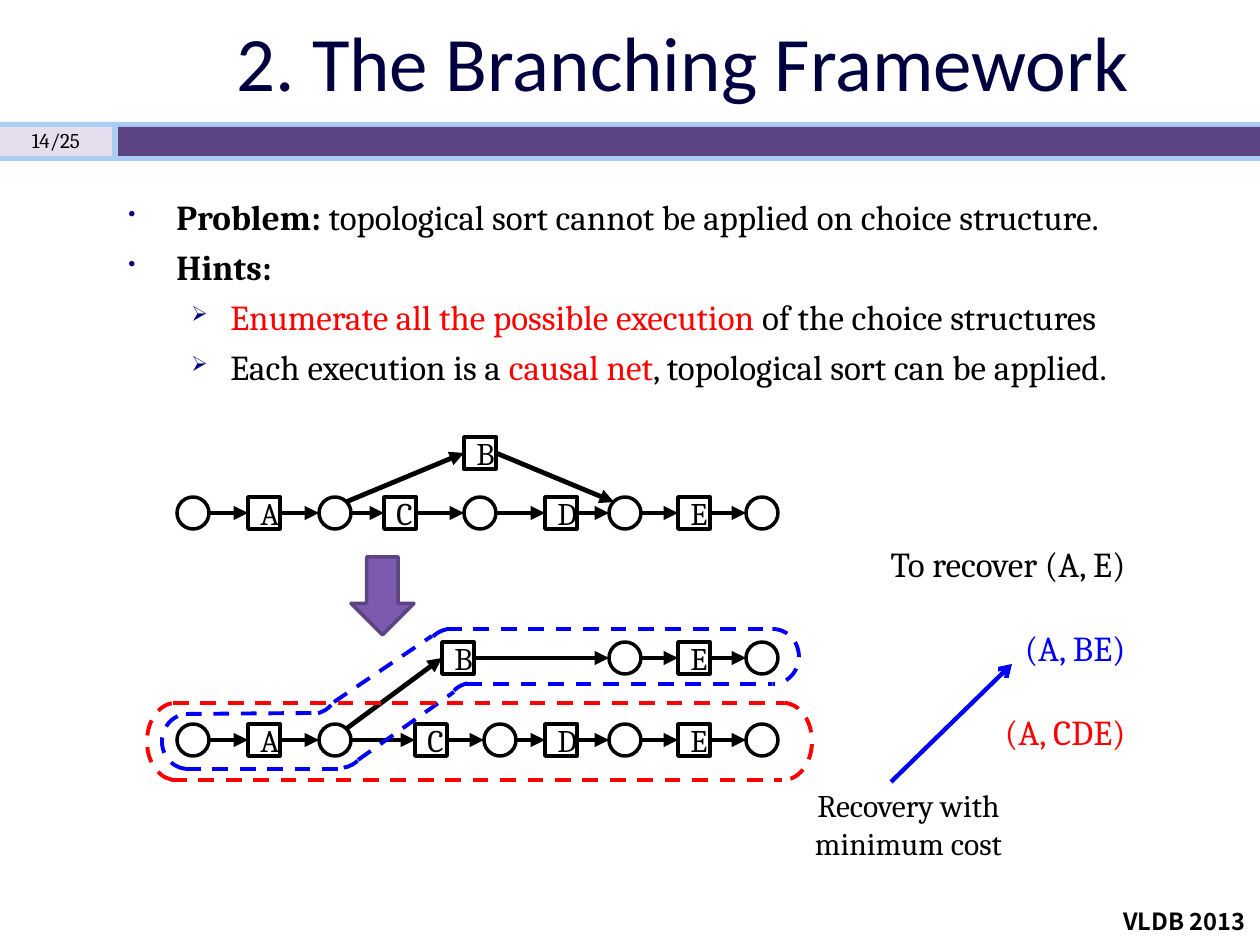
from lxml import etree
from pptx import Presentation
from pptx.dml.color import RGBColor
from pptx.enum.dml import MSO_LINE
from pptx.enum.shapes import MSO_CONNECTOR, MSO_SHAPE
from pptx.enum.text import MSO_ANCHOR, PP_ALIGN
from pptx.oxml.ns import qn
from pptx.util import Pt

PX = 7257
BLACK, RED, BLUE, PURPLE = "000000", "FF0000", "0000F9", "5C4381"
rgb = RGBColor.from_string

prs = Presentation()
prs.slide_width, prs.slide_height = 1260 * PX, 945 * PX
s = prs.slides.add_slide(prs.slide_layouts[5])


def add_shape(kind, box, fill=None, line=None, width=2):
    sp = s.shapes.add_shape(kind, *[v * PX for v in box])
    sp.shadow.inherit = False
    if fill:
        sp.fill.solid()
        sp.fill.fore_color.rgb = rgb(fill)
    else:
        sp.fill.background()
    if line:
        sp.line.color.rgb = rgb(line)
        sp.line.width = Pt(width)
    else:
        sp.line.fill.background()
    return sp


def add_line(ends, color=BLACK, width=2.75, head=None):
    cx = s.shapes.add_connector(MSO_CONNECTOR.STRAIGHT, *[v * PX for v in ends])
    cx.line.color.rgb = rgb(color)
    cx.line.width = Pt(width)
    if head:
        etree.SubElement(cx.line._get_or_add_ln(), qn("a:tailEnd"), type=head)
    else:
        cx.line.dash_style = MSO_LINE.DASH
    etree.SubElement(cx._element.spPr, qn("a:effectLst"))


for box, color in [
    ((0, 122, 1260, 39), "ABCDF4"),
    ((0, 127, 112, 29), "E5DEEF"),
    ((118, 127, 1142, 29), PURPLE),
]:
    add_shape(MSO_SHAPE.RECTANGLE, box, color)

title = s.shapes.title
title.left, title.top, title.width, title.height = [v * PX for v in (116, 4, 1134, 113)]
tf = title.text_frame
tf.text = "2. The Branching Framework"
tf.vertical_anchor = MSO_ANCHOR.MIDDLE
p = tf.paragraphs[0]
p.alignment = PP_ALIGN.CENTER
p.font.name, p.font.size = "Calibri", Pt(44)
p.font.color.rgb = rgb("000040")

bullets = [
    ("•", 48, -48, [("Problem: ", BLACK, True),
                    ("topological sort cannot be applied on choice structure.", BLACK, False)]),
    ("•", 48, -48, [("Hints:", BLACK, True)]),
    ("➢", 102, -39, [("Enumerate all the possible execution", RED, False),
                     (" of the choice structures", BLACK, False)]),
    ("➢", 102, -39, [("Each execution is a ", BLACK, False), ("causal net", RED, False),
                     (", topological sort can be applied.", BLACK, False)]),
]
tf = s.shapes.add_textbox(116 * PX, 189 * PX, 1072 * PX, 625 * PX).text_frame
tf.word_wrap = True
for i, (mark, margin, indent, runs) in enumerate(bullets):
    p = tf.add_paragraph() if i else tf.paragraphs[0]
    p.space_before = Pt(4.7)
    p.font.name, p.font.size = "Cambria", Pt(20)
    pPr = p._p.get_or_add_pPr()
    pPr.set("marL", str(margin * PX))
    pPr.set("indent", str(indent * PX))
    tags = [etree.Element(qn("a:buClr")), etree.Element(qn("a:buSzPct"), val="60000"),
            etree.Element(qn("a:buChar"), char=mark)]
    etree.SubElement(tags[0], qn("a:srgbClr"), val="000082")
    for tag in tags:
        pPr.find(qn("a:defRPr")).addprevious(tag)
    for text, color, bold in runs:
        r = p.add_run()
        r.text = text
        r.font.name, r.font.size, r.font.bold = "Cambria", Pt(20), bold
        r.font.color.rgb = rgb(color)

CENTER, LEFT, RIGHT = PP_ALIGN.CENTER, PP_ALIGN.LEFT, PP_ALIGN.RIGHT
for box, font, size, bold, align, anchor, wrap, lines in [
    ((0, 121, 112, 39), "Cambria", 12, False, CENTER, MSO_ANCHOR.MIDDLE, True,
     [("14/25", BLACK)]),
    ((1111, 901, 157, 42), "Noto Sans CJK SC", 13.5, True, LEFT, MSO_ANCHOR.TOP, False,
     [("VLDB 2013", BLACK)]),
    ((818, 536, 320, 224), "Cambria", 20, False, RIGHT, MSO_ANCHOR.TOP, True,
     [("To recover (A, E)", BLACK), ("(A, BE)", BLUE), ("(A, CDE)", RED)]),
    ((787, 780, 243, 89), "Cambria", 18, False, CENTER, MSO_ANCHOR.TOP, True,
     [("Recovery with minimum cost", BLACK)]),
]:
    tf = s.shapes.add_textbox(*[v * PX for v in box]).text_frame
    tf.word_wrap, tf.vertical_anchor = wrap, anchor
    for i, (text, color) in enumerate(lines):
        p = tf.add_paragraph() if i else tf.paragraphs[0]
        p.text, p.alignment = text, align
        p.font.name, p.font.size, p.font.bold = font, Pt(size), bold
        p.font.color.rgb = rgb(color)
        if i:
            p.space_before = Pt(24)

chains = [
    (453, [("B", 480)]),
    (513, [("", 193), ("A", 264), ("", 335), ("C", 400), ("", 480),
           ("D", 561), ("", 625), ("E", 694), ("", 762)]),
    (658, [("B", 458), ("", 625), ("E", 694), ("", 762)]),
    (740, [("", 193), ("A", 264), ("", 335), ("C", 431), ("", 500),
           ("D", 561), ("", 625), ("E", 694), ("", 762)]),
]
for y, nodes in chains:
    for (label, x), (_, following) in zip(nodes, nodes[1:]):
        add_line((x + 16, y, following - 16, y), head="triangle")
    for label, x in nodes:
        kind = MSO_SHAPE.RECTANGLE if label else MSO_SHAPE.OVAL
        sp = add_shape(kind, (x - 16, y - 16, 32, 32), line=BLACK)
        if label:
            tf = sp.text_frame
            tf.vertical_anchor = MSO_ANCHOR.MIDDLE
            p = tf.paragraphs[0]
            p.text, p.alignment = label, CENTER
            p.font.name, p.font.size = "Cambria", Pt(18)
            p.font.color.rgb = rgb(BLACK)

for ends in [(346, 502, 464, 453), (496, 453, 614, 502), (346, 729, 442, 658)]:
    add_line(ends, head="triangle")

for box, start, end, color in [
    ((162, 714, 52, 55), 96, 268, BLUE),
    ((286, 659, 52, 55), 44, 85, BLUE),
    ((314, 713, 52, 55), 49, 85, BLUE),
    ((425, 629, 52, 55), 228, 267, BLUE),
    ((446, 683, 52, 55), 228, 267, BLUE),
    ((747, 629, 52, 55), 269, 91, BLUE),
    ((147, 703, 57, 77), 96, 268, RED),
    ((755, 703, 57, 77), 271, 91, RED),
]:
    sp = add_shape(MSO_SHAPE.ARC, box, line=color, width=2.25)
    sp.adjustments[0], sp.adjustments[1] = start * 0.6, end * 0.6
    sp.line.dash_style = MSO_LINE.DASH

for ends, color in [
    ((186, 714, 315, 713), BLUE),
    ((185, 769, 341, 769), BLUE),
    ((334, 702, 432, 636), BLUE),
    ((446, 629, 772, 629), BLUE),
    ((358, 760, 454, 692), BLUE),
    ((466, 684, 772, 684), BLUE),
    ((173, 703, 784, 703), RED),
    ((171, 780, 782, 780), RED),
]:
    add_line(ends, color, 2.25)

add_shape(MSO_SHAPE.DOWN_ARROW, (351, 557, 63, 78), "7C5BAE", PURPLE)
add_line((891, 782, 1012, 664), BLUE, 2.5, "arrow")

prs.save("out.pptx")
